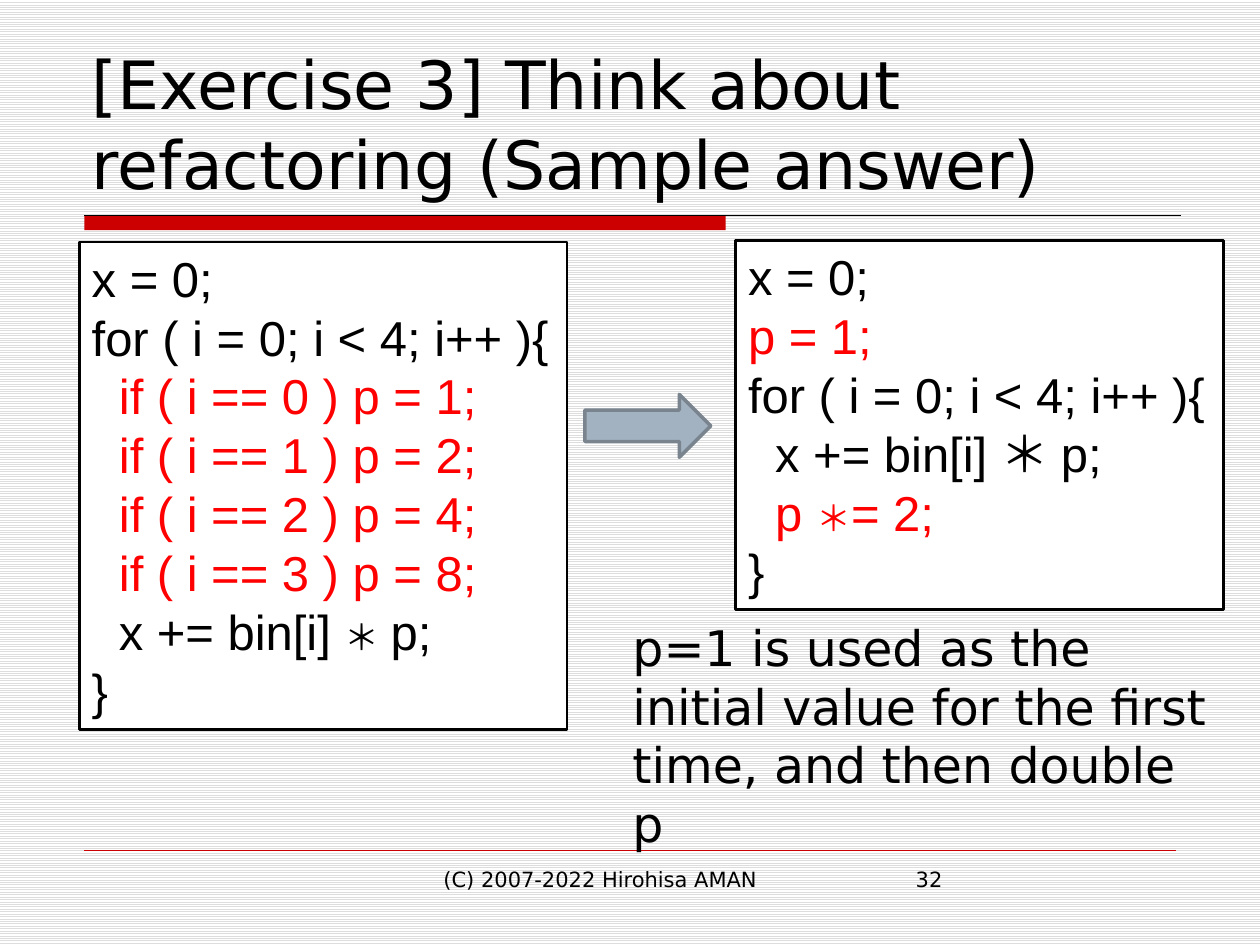
import pptx
import pptx.util
import pptx.dml.color
import pptx.enum.dml
import pptx.enum.shapes
import pptx.enum.text
import lxml.etree

Cm, Pt = pptx.util.Cm, pptx.util.Pt
RGB = pptx.dml.color.RGBColor.from_string
SHAPE = pptx.enum.shapes.MSO_SHAPE
FIT = pptx.enum.text.MSO_AUTO_SIZE
ANCHOR = pptx.enum.text.MSO_ANCHOR
LEFT = pptx.enum.text.PP_ALIGN.LEFT

theme = {
    "ink": RGB("000000"),
    "paper": RGB("FFFFFF"),
    "stripe": RGB("DDDDDD"),
    "accent": RGB("CC0000"),
    "arrow": RGB("A3B2C1"),
    "arrow edge": RGB("79848F"),
    "fonts": {
        "title": ({"name": "DejaVu Sans", "size": Pt(38)}, RGB("000000")),
        "note": ({"name": "DejaVu Sans", "size": Pt(28)}, RGB("000000")),
        "footer": ({"name": "DejaVu Sans", "size": Pt(12)}, RGB("000000")),
        "code": ({"name": "Arial", "size": Pt(28)}, RGB("000000")),
        "changed": ({"name": "Arial", "size": Pt(28)}, RGB("FF0000")),
        "star": ({"name": "Arial", "size": Pt(20)}, RGB("000000")),
        "changed star": ({"name": "Arial", "size": Pt(20)}, RGB("FF0000")),
    },
}


def apply(target, values):
    for attribute, value in values.items():
        setattr(target, attribute, value)


def write(frame, lines, frame_format):
    apply(frame, frame_format)
    for number, line in enumerate(lines):
        paragraph = frame.add_paragraph() if number else frame.paragraphs[0]
        paragraph.alignment = LEFT
        for text, style in line:
            run = paragraph.add_run()
            run.text = text
            values, colour = theme["fonts"][style]
            apply(run.font, values)
            run.font.color.rgb = colour


deck = pptx.Presentation()
apply(deck, {"slide_width": Cm(25.4), "slide_height": Cm(19.05)})
slide = deck.slides.add_slide(deck.slide_layouts[5])
shapes = slide.shapes

backdrop = slide.background.fill
backdrop.patterned()
backdrop.pattern = pptx.enum.dml.MSO_PATTERN.LIGHT_HORIZONTAL
backdrop.fore_color.rgb = theme["stripe"]
backdrop.back_color.rgb = theme["paper"]

heading = shapes.title
apply(heading, {"left": Cm(1.6), "top": Cm(0.84), "width": Cm(23.8), "height": Cm(3.38)})
write(
    heading.text_frame,
    [[("[Exercise 3] Think about refactoring (Sample answer)", "title")]],
    {"word_wrap": True, "auto_size": FIT.NONE, "vertical_anchor": ANCHOR.BOTTOM},
)

title_bar = shapes.add_shape(SHAPE.RECTANGLE, Cm(1.7), Cm(4.34), Cm(12.93), Cm(0.3))
title_bar.shadow.inherit = False
title_bar.fill.solid()
title_bar.fill.fore_color.rgb = theme["accent"]
title_bar.line.fill.background()

rules = [(4.34, 23.8, theme["ink"], 0.5), (17.15, 23.7, theme["accent"], 0.25)]
for height, end, colour, weight in rules:
    rule = shapes.add_connector(
        pptx.enum.shapes.MSO_CONNECTOR.STRAIGHT, Cm(1.7), Cm(height), Cm(end), Cm(height)
    )
    rule.line.color.rgb = colour
    rule.line.width = Pt(weight)
    lxml.etree.SubElement(
        rule._element.spPr, "{http://schemas.openxmlformats.org/drawingml/2006/main}effectLst"
    )

captions = [
    (8.69, 17.35, 8.05, 1.32, "(C) 2007-2022 Hirohisa AMAN", "footer"),
    (18.21, 17.35, 5.51, 1.32, "32", "footer"),
    (
        12.5, 12.32, 12.12, 5.05,
        "p=1 is used as the initial value for the first time, and then double p", "note",
    ),
]
for left, top, width, height, text, style in captions:
    caption = shapes.add_textbox(Cm(left), Cm(top), Cm(width), Cm(height))
    write(caption.text_frame, [[(text, style)]], {"word_wrap": True})

start = [("x = 0;", "code")]
loop = [("for ( i = 0; i < 4; i++ ){", "code")]
close = [("}", "code")]
branches = [
    [("  ", "code"), (f"if ( i == {bit} ) p = {2 ** bit};", "changed")] for bit in range(4)
]
before = [
    start, loop, *branches,
    [("  x += bin[i] ", "code"), ("＊", "star"), (" p;", "code")],
    close,
]
after = [
    start, [("p = 1;", "changed")], loop,
    [("  x += bin[i] ＊ p;", "code")],
    [("  ", "code"), ("p ", "changed"), ("＊", "changed star"), ("= 2;", "changed")],
    close,
]

blocks = [
    (SHAPE.RECTANGLE, 1.6, 4.88, 9.83, 9.83, "paper", "ink", 1.5, before),
    (SHAPE.RIGHT_ARROW, 11.79, 7.95, 2.54, 1.27, "arrow", "arrow edge", 2, []),
    (SHAPE.RECTANGLE, 14.83, 4.85, 9.83, 7.44, "paper", "ink", 1.5, after),
]
for kind, left, top, width, height, fill, edge, weight, code in blocks:
    block = shapes.add_shape(kind, Cm(left), Cm(top), Cm(width), Cm(height))
    block.shadow.inherit = False
    block.fill.solid()
    block.fill.fore_color.rgb = theme[fill]
    block.line.color.rgb = theme[edge]
    block.line.width = Pt(weight)
    if code:
        write(
            block.text_frame,
            code,
            {
                "word_wrap": False,
                "auto_size": FIT.SHAPE_TO_FIT_TEXT,
                "vertical_anchor": ANCHOR.TOP,
            },
        )

deck.save("out.pptx")
